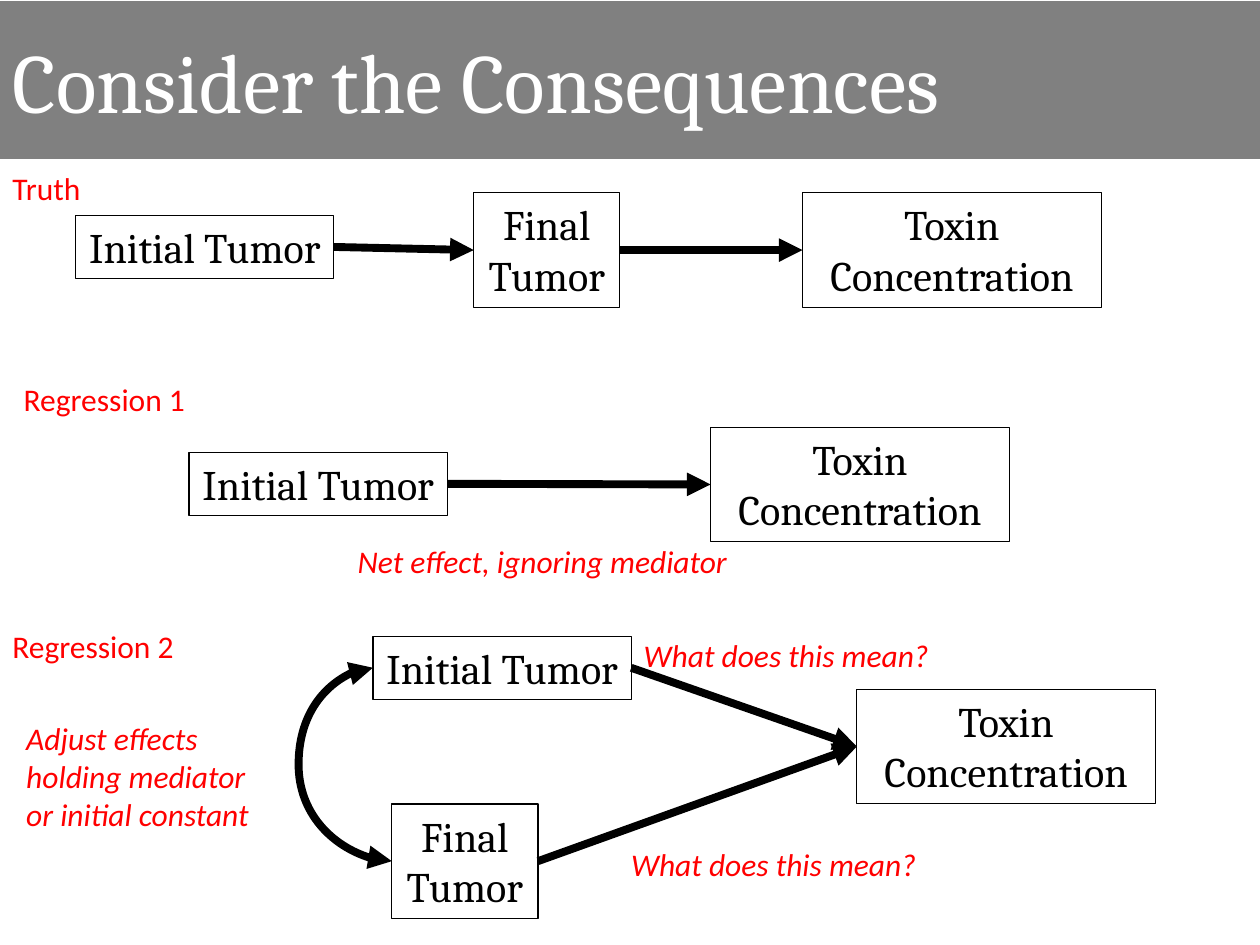
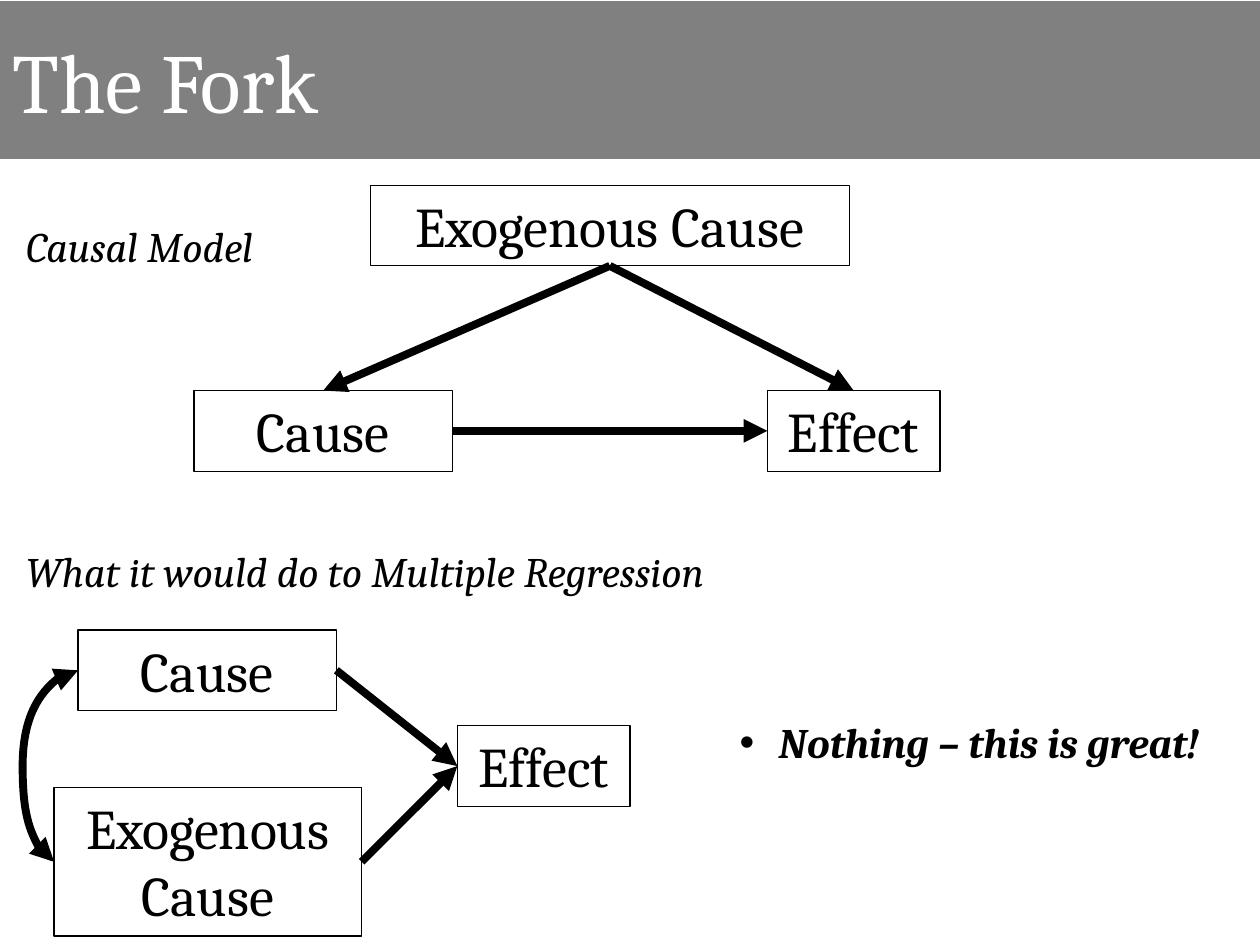
import lxml.etree
import pptx
import pptx.dml.color
import pptx.enum.shapes
import pptx.enum.text
import pptx.oxml.ns
import pptx.util
from pptx.util import Inches

BLACK, WHITE, RED, GRAY = "000000", "FFFFFF", "FF0000", "808080"
SERIF, SANS = "Cambria", "Calibri"
TOP, LEFT, BOTTOM, RIGHT = range(4)
TITLE_ONLY, TITLE_AND_BODY = 5, 1

# Box kinds: text lines, width, height
TUMOR_KINDS = {
    "initial": (["Initial Tumor"], 2.05, 0.5),
    "final": (["Final", "Tumor"], 1.16, 0.91),
    "toxin": (["Toxin", "Concentration"], 2.37, 0.91),
}
FORK_KINDS = {
    "cause": (["Cause"], 2.05, 0.64),
    "effect": (["Effect"], 1.37, 0.64),
    "exogenous": (["Exogenous Cause"], 3.8, 0.64),
    "exogenous stacked": (["Exogenous", "Cause"], 2.44, 1.18),
}

# Diagrams: boxes as kind -> (left, top); arrows as (from, side, to, side);
# a curve as (from, to, x of its bend), joining left sides with two heads
TUMOR_DIAGRAMS = [
    {"boxes": {"initial": (0.6, 1.71), "final": (3.76, 1.53), "toxin": (6.37, 1.53)},
     "arrows": [("initial", RIGHT, "final", LEFT), ("final", RIGHT, "toxin", LEFT)]},
    {"boxes": {"initial": (1.5, 3.59), "toxin": (5.64, 3.39)},
     "arrows": [("initial", RIGHT, "toxin", LEFT)]},
    {"boxes": {"initial": (2.96, 5.05), "final": (3.11, 6.38), "toxin": (6.8, 5.47)},
     "arrows": [("initial", RIGHT, "toxin", LEFT), ("final", RIGHT, "toxin", LEFT)],
     "curve": ("final", "initial", 2.37)},
]
FORK_DIAGRAMS = [
    {"boxes": {"exogenous": (2.94, 1.47), "cause": (1.54, 3.1), "effect": (6.09, 3.1)},
     "arrows": [("exogenous", BOTTOM, "cause", TOP), ("exogenous", BOTTOM, "effect", TOP),
                ("cause", RIGHT, "effect", LEFT)]},
    {"boxes": {"cause": (0.62, 5), "exogenous stacked": (0.43, 6.25), "effect": (3.63, 5.76)},
     "arrows": [("cause", RIGHT, "effect", LEFT),
                ("exogenous stacked", RIGHT, "effect", LEFT)],
     "curve": ("cause", "exogenous stacked", 0.18)},
]

# Labels: lines, (left, top, width, height)
MODEL_NAMES = [
    (["Truth"], (0, 1.29, 0.75, 0.4)),
    (["Regression 1"], (0.09, 2.97, 1.5, 0.4)),
    (["Regression 2"], (0, 4.93, 1.5, 0.4)),
]
REMARKS = [
    (["Net effect, ignoring mediator"], (2.74, 4.25, 3.18, 0.4)),
    (["Adjust effects", "holding mediator", "or initial constant"], (0.11, 5.66, 2.02, 1.01)),
    (["What does this mean?"], (5.01, 5, 2.49, 0.4)),
    (["What does this mean?"], (4.91, 6.66, 2.49, 0.4)),
]
FORK_HEADINGS = [
    (["Causal Model"], (0.11, 1.7, 2.27, 0.5)),
    (["What it would do to Multiple Regression"], (0.11, 4.28, 6.25, 0.5)),
]
CONCLUSION = ("Nothing – this is great!", (5.77, 5.64, 4.17, 0.5))


def rgb(value):
    return pptx.dml.color.RGBColor.from_string(value)


def add_xml(parent, tag, **attributes):
    element = lxml.etree.SubElement(parent, pptx.oxml.ns.qn(tag))
    for name, value in attributes.items():
        element.set(name, str(value))
    return element


def place(shape, area):
    shape.left, shape.top, shape.width, shape.height = map(Inches, area)


def set_line(line, color, width):
    line.color.rgb = rgb(color)
    line.width = pptx.util.Pt(width)


def write(frame, lines, size, name, color, align=pptx.enum.text.PP_ALIGN.LEFT,
          anchor=pptx.enum.text.MSO_ANCHOR.TOP, wrap=False, **style):
    """Put each line in its own paragraph; style holds further font settings."""
    frame.word_wrap = wrap
    frame.auto_size = pptx.enum.text.MSO_AUTO_SIZE.NONE
    frame.vertical_anchor = anchor
    for index, text in enumerate(lines):
        paragraph = frame.paragraphs[0] if index == 0 else frame.add_paragraph()
        paragraph.text = text
        paragraph.alignment = align
        paragraph.space_before = pptx.util.Pt(0)
        font = paragraph.font
        font.size, font.name, font.color.rgb = pptx.util.Pt(size), name, rgb(color)
        for key, value in style.items():
            setattr(font, key, value)


def add_page(deck, layout, title):
    page = deck.slides.add_slide(deck.slide_layouts[layout])
    band = page.shapes.title
    place(band, (0, 0.01, 10, 1.25))
    band.fill.solid()
    band.fill.fore_color.rgb = rgb(GRAY)
    set_line(band.line, GRAY, 0.75)
    write(band.text_frame, [title], 48, SERIF, WHITE,
          anchor=pptx.enum.text.MSO_ANCHOR.MIDDLE, wrap=True)
    return page


def add_box(page, lines, area, size):
    box = page.shapes.add_shape(pptx.enum.shapes.MSO_SHAPE.RECTANGLE, *map(Inches, area))
    box.shadow.inherit = False
    box.fill.background()
    set_line(box.line, BLACK, 0.75)
    write(box.text_frame, lines, size, SERIF, BLACK, align=pptx.enum.text.PP_ALIGN.CENTER)
    return box


def add_connector(page, kind, begin, end, heads):
    connector = page.shapes.add_connector(kind, *begin, *end)
    set_line(connector.line, BLACK, 4.5)
    for head in heads:
        add_xml(connector.line._get_or_add_ln(), head, type="triangle")
    add_xml(connector._element.spPr, "a:effectLst")
    return connector


def add_arrow(page, source, source_side, target, target_side):
    arrow = add_connector(page, pptx.enum.shapes.MSO_CONNECTOR.STRAIGHT,
                          (0, 0), (0, 0), ["a:tailEnd"])
    arrow.begin_connect(source, source_side)
    arrow.end_connect(target, target_side)


def add_curve(page, source, target, bend):
    begin, end = [(box.left, box.top + box.height // 2) for box in (source, target)]
    curve = add_connector(page, pptx.enum.shapes.MSO_CONNECTOR.CURVE,
                          begin, end, ["a:headEnd", "a:tailEnd"])
    share = (Inches(bend) - begin[0]) / (end[0] - begin[0])
    guides = curve._element.spPr.find(pptx.oxml.ns.qn("a:prstGeom")).get_or_add_avLst()
    add_xml(guides, "a:gd", name="adj1", fmla=f"val {round(share * 100000)}")


def add_diagram(page, kinds, diagram, size):
    boxes = {}
    for kind, corner in diagram["boxes"].items():
        lines, width, height = kinds[kind]
        boxes[kind] = add_box(page, lines, (*corner, width, height), size)
    for source, source_side, target, target_side in diagram["arrows"]:
        add_arrow(page, boxes[source], source_side, boxes[target], target_side)
    if "curve" in diagram:
        source, target, bend = diagram["curve"]
        add_curve(page, boxes[source], boxes[target], bend)


def add_labels(page, labels, size, name, color, italic):
    for lines, area in labels:
        label = page.shapes.add_textbox(*map(Inches, area))
        write(label.text_frame, lines, size, name, color, italic=italic)


def add_conclusion(page, text, area):
    body = page.placeholders[1]
    place(body, area)
    properties = body.text_frame.paragraphs[0]._p.get_or_add_pPr()
    properties.set("marL", str(Inches(0.31)))
    properties.set("indent", str(Inches(-0.31)))
    add_xml(properties, "a:buFont", typeface="Arial")
    add_xml(properties, "a:buChar", char="•")
    write(body.text_frame, [text], 24, SERIF, BLACK, wrap=True, bold=True, italic=True)


def main():
    deck = pptx.Presentation()
    deck.slide_width, deck.slide_height = Inches(10), Inches(7.5)

    page = add_page(deck, TITLE_ONLY, "Consider the Consequences")
    for diagram in TUMOR_DIAGRAMS:
        add_diagram(page, TUMOR_KINDS, diagram, 24)
    add_labels(page, MODEL_NAMES, 18, SANS, RED, italic=False)
    add_labels(page, REMARKS, 18, SANS, RED, italic=True)

    page = add_page(deck, TITLE_AND_BODY, "The Fork")
    add_labels(page, FORK_HEADINGS, 24, SERIF, BLACK, italic=True)
    for diagram in FORK_DIAGRAMS:
        add_diagram(page, FORK_KINDS, diagram, 32)
    add_conclusion(page, *CONCLUSION)

    deck.save("out.pptx")


if __name__ == "__main__":
    main()
